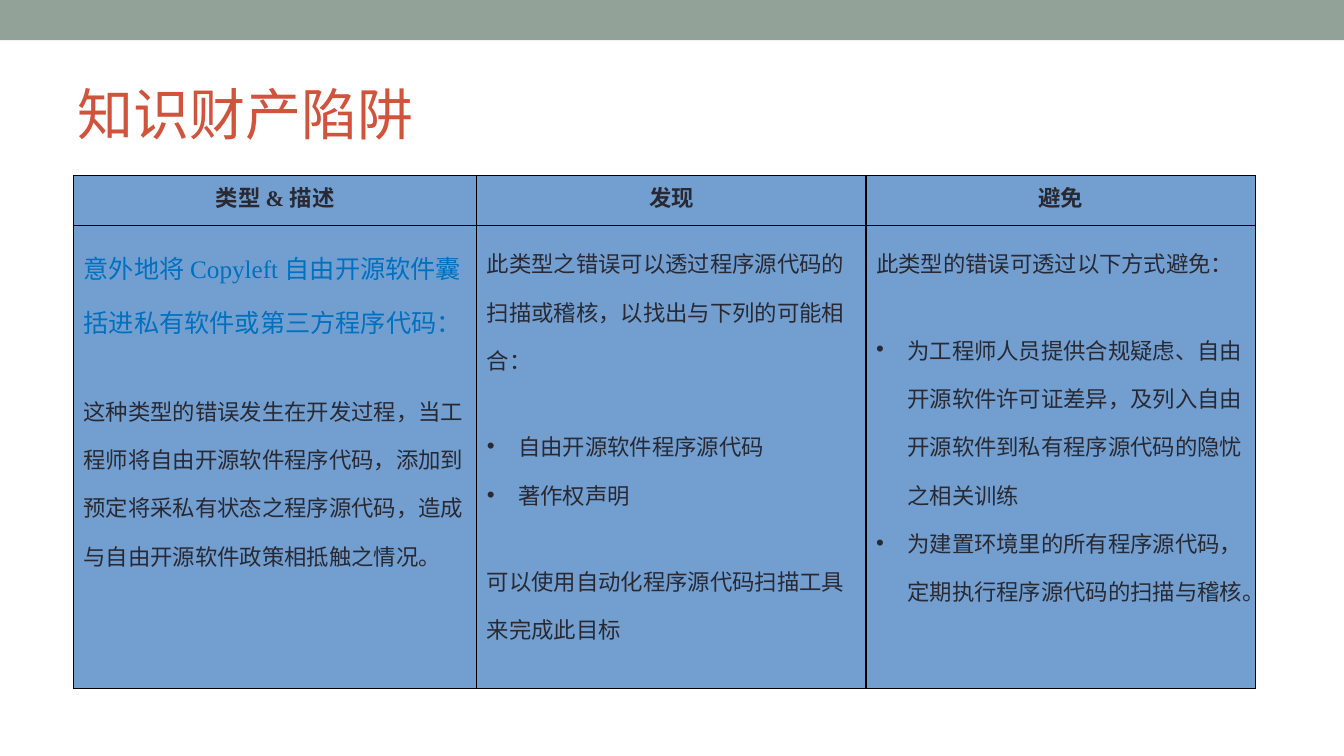
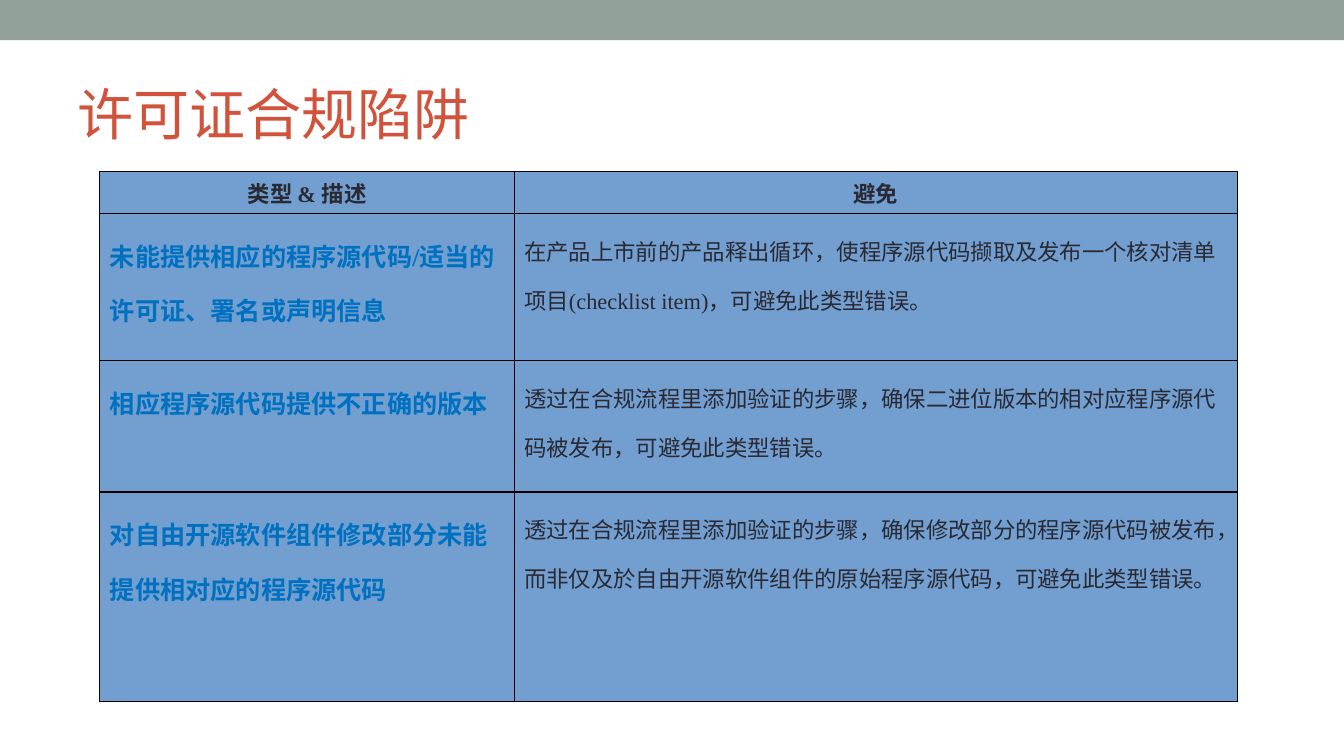
"""Build two slides that list legal and licence pitfalls in tables."""
from dataclasses import dataclass

from lxml.etree import SubElement
from pptx import Presentation
from pptx.dml.color import RGBColor
from pptx.enum.shapes import MSO_SHAPE
from pptx.enum.text import MSO_ANCHOR, PP_ALIGN
from pptx.oxml.ns import qn
from pptx.util import Inches, Pt


@dataclass(frozen=True)
class Theme:
    """Colours, type sizes and spacing of the deck."""
    face: str = "Times New Roman"
    band: str = "93A299"
    title: str = "D2533C"
    ink: str = "292934"
    lead: str = "0070C0"
    cell: str = "729FCF"
    rule: str = "000000"
    big: int = 40
    mid: int = 18
    small: int = 16
    gap: int = 27
    pitch: float = 1.5
    hang: float = 0.31
    line: float = 0.96


@dataclass(frozen=True)
class Para:
    """One paragraph of a cell."""
    text: str
    lead: bool = False
    bold: bool = False
    head: bool = False
    dot: bool = False
    gap: bool = False


@dataclass(frozen=True)
class Page:
    """A title and a table, with its corner, columns and rows in inches."""
    title: str
    left: float
    top: float
    cols: tuple[float, ...]
    rows: tuple[float, ...]
    cells: tuple[tuple[tuple[Para, ...], ...], ...]


THEME = Theme()
WIDE, HIGH = 13.33, 7.5


def heads(*names: str) -> tuple[tuple[Para, ...], ...]:
    """Return a row of header cells."""
    return tuple((Para(name, bold=True, head=True),) for name in names)


def pair(fault: str, cure: str) -> tuple[tuple[Para, ...], ...]:
    """Return a row with a fault and its cure."""
    return (Para(fault, lead=True, bold=True),), (Para(cure),)


PAGES = (
    Page("知识财产陷阱", 0.73, 1.74, (4, 3.86, 3.86), (0.5, 4.59), (
        heads("类型 & 描述", "发现", "避免"),
        (
            (
                Para("意外地将 Copyleft 自由开源软件囊括进私有软件或第三方程序代码：", lead=True),
                Para("这种类型的错误发生在开发过程，当工程师将自由开源软件程序代码，"
                     "添加到预定将采私有状态之程序源代码，造成与自由开源软件政策相抵触之情况。", gap=True),
            ),
            (
                Para("此类型之错误可以透过程序源代码的扫描或稽核，以找出与下列的可能相合："),
                Para("自由开源软件程序源代码", dot=True, gap=True),
                Para("著作权声明", dot=True),
                Para("可以使用自动化程序源代码扫描工具来完成此目标", gap=True),
            ),
            (
                Para("此类型的错误可透过以下方式避免："),
                Para("为工程师人员提供合规疑虑、自由开源软件许可证差异，"
                     "及列入自由开源软件到私有程序源代码的隐忧之相关训练", dot=True, gap=True),
                Para("为建置环境里的所有程序源代码，定期执行程序源代码的扫描与稽核。", dot=True),
            ),
        ),
    )),
    Page("许可证合规陷阱", 0.99, 1.7, (4.11, 7.17), (0.42, 1.46, 1.3, 2.08), (
        heads("类型 & 描述", "避免"),
        pair("未能提供相应的程序源代码/适当的许可证、署名或声明信息",
             "在产品上市前的产品释出循环，使程序源代码撷取及发布一个核对清单项目"
             "(checklist item)，可避免此类型错误。"),
        pair("相应程序源代码提供不正确的版本",
             "透过在合规流程里添加验证的步骤，确保二进位版本的相对应程序源代码被发布，可避免此类型错误。"),
        pair("对自由开源软件组件修改部分未能提供相对应的程序源代码",
             "透过在合规流程里添加验证的步骤，确保修改部分的程序源代码被发布，"
             "而非仅及於自由开源软件组件的原始程序源代码，可避免此类型错误。"),
    )),
)


def ink(line, size: int, tint: str, bold: bool = False) -> None:
    """Format the runs of a paragraph."""
    for run in line.runs:
        run.font.name = THEME.face
        run.font.size = Pt(size)
        run.font.bold = bold
        run.font.color.rgb = RGBColor.from_string(tint)


def bullet(line) -> None:
    """Give a paragraph a hanging bullet."""
    props = line._p.get_or_add_pPr()
    props.set("marL", str(Inches(THEME.hang)))
    props.set("indent", str(-Inches(THEME.hang)))
    tint = SubElement(props, qn("a:buClr"))
    SubElement(tint, qn("a:srgbClr"), val=THEME.ink)
    SubElement(props, qn("a:buFont"), typeface="Arial")
    SubElement(props, qn("a:buChar"), char="•")


def edge(cell) -> None:
    """Draw the four borders of a cell."""
    props = cell._tc.get_or_add_tcPr()
    for spot, side in enumerate(("lnL", "lnR", "lnT", "lnB")):
        line = props.makeelement(qn(f"a:{side}"), {"w": str(Pt(THEME.line))})
        fill = SubElement(line, qn("a:solidFill"))
        SubElement(fill, qn("a:srgbClr"), val=THEME.rule)
        props.insert(spot, line)


def write(cell, paras: tuple[Para, ...]) -> None:
    """Fill a cell with its paragraphs."""
    cell.fill.solid()
    cell.fill.fore_color.rgb = RGBColor.from_string(THEME.cell)
    edge(cell)
    cell.text_frame.text = "\n".join(para.text for para in paras)
    for line, para in zip(cell.text_frame.paragraphs, paras):
        if para.dot:
            bullet(line)
        if para.head:
            line.alignment = PP_ALIGN.CENTER
        else:
            line.line_spacing = THEME.pitch
        if para.gap:
            line.space_before = Pt(THEME.gap)
        size, tint = (THEME.mid, THEME.lead) if para.lead else (THEME.small, THEME.ink)
        ink(line, size, tint, para.bold)


def grid(slide, page: Page) -> None:
    """Add the table of a page."""
    frame = slide.shapes.add_table(
        len(page.rows), len(page.cols), Inches(page.left), Inches(page.top),
        Inches(sum(page.cols)), Inches(sum(page.rows)))
    table = frame.table
    table.horz_banding = False
    for col, width in zip(table.columns, page.cols):
        col.width = Inches(width)
    for row, height, cells in zip(table.rows, page.rows, page.cells):
        row.height = Inches(height)
        for cell, paras in zip(row.cells, cells):
            write(cell, paras)


def frame(deck, slide) -> None:
    """Put the top band and the title place on the master."""
    master = deck.slide_master
    band = slide.shapes.add_shape(MSO_SHAPE.RECTANGLE, 0, 0, deck.slide_width, Inches(0.4))
    band.shadow.inherit = False
    band.fill.solid()
    band.fill.fore_color.rgb = RGBColor.from_string(THEME.band)
    band.line.fill.background()
    master.shapes.element.insert(2, band.element)
    title = master.placeholders[0]
    title.left, title.top = Inches(0.67), Inches(0.58)
    title.width, title.height = Inches(12), Inches(1.08)


def head(slide, text: str) -> None:
    """Set the title of a slide."""
    box = slide.shapes.title.text_frame
    box.text = text
    box.vertical_anchor = MSO_ANCHOR.MIDDLE
    line = box.paragraphs[0]
    line.alignment = PP_ALIGN.LEFT
    ink(line, THEME.big, THEME.title)


def main() -> None:
    """Build and save the deck."""
    deck = Presentation()
    deck.slide_width, deck.slide_height = Inches(WIDE), Inches(HIGH)
    for spot, page in enumerate(PAGES):
        slide = deck.slides.add_slide(deck.slide_layouts[5])
        if spot == 0:
            frame(deck, slide)
        head(slide, page.title)
        grid(slide, page)
    deck.save("out.pptx")


if __name__ == "__main__":
    main()
